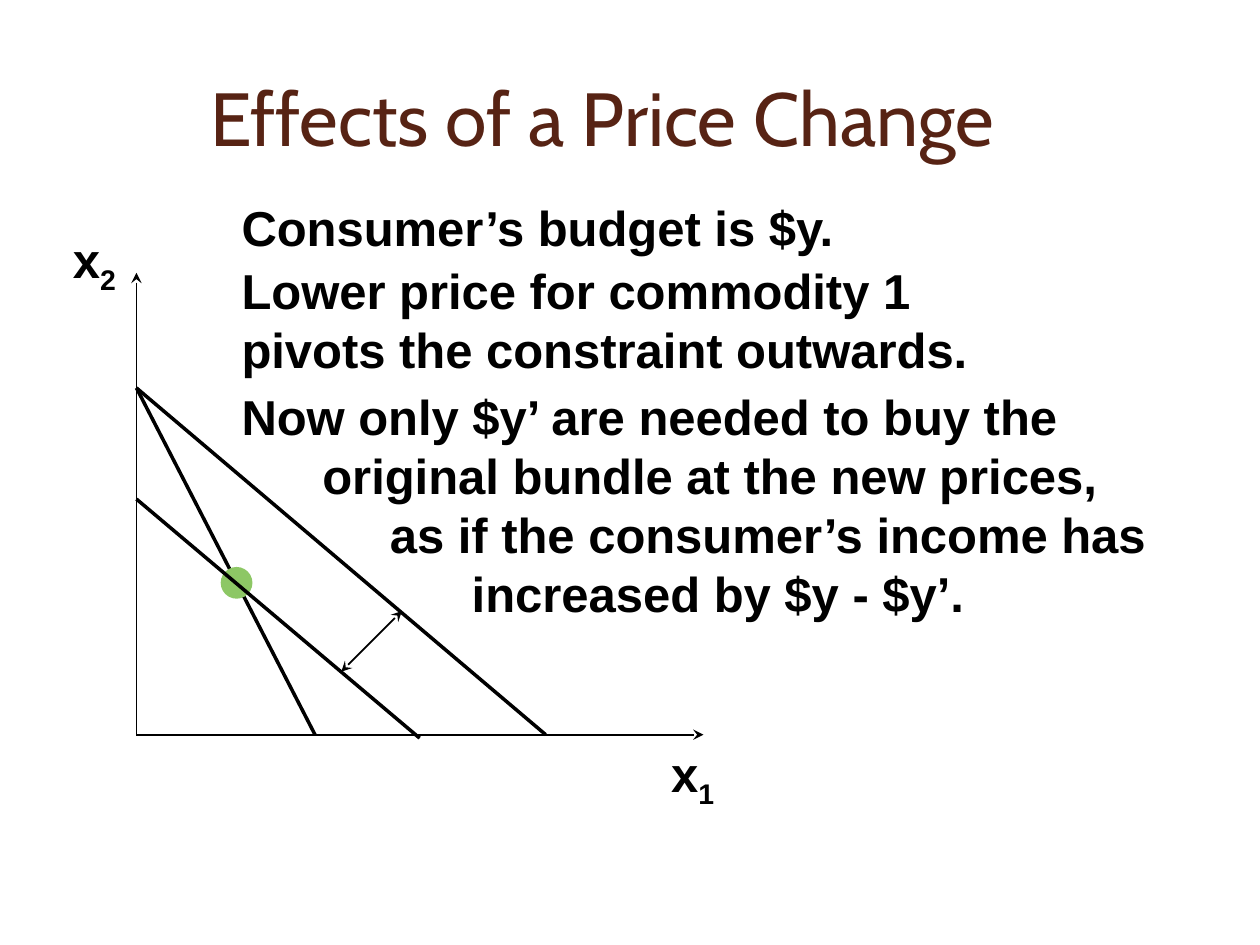
from lxml.etree import SubElement
from pptx import Presentation
from pptx.dml.color import RGBColor
from pptx.enum.shapes import MSO_CONNECTOR, MSO_SHAPE
from pptx.enum.text import MSO_ANCHOR, MSO_AUTO_SIZE
from pptx.oxml.ns import qn
from pptx.util import Cm, Pt

THEME = {
    "title": {"name": "Cabin", "size": Pt(43), "bold": False},
    "body": {"name": "Arial", "size": Pt(28), "bold": True},
    "brown": RGBColor.from_string("572314"),
    "black": RGBColor.from_string("000000"),
    "green": RGBColor.from_string("8DC765"),
}

# Content; all lengths are in centimetres
TITLE = ("Effects of a Price Change", (3.99, 0.76, 20.83, 3.18))
LEFT = 4.62
# Each note: top, width, height, lines as (indent, text)
NOTES = [
    (3.86, 12.52, 1.45, [(0, "Consumer’s budget is $y.")]),
    (5.13, 15.19, 2.62, [(0, "Lower price for commodity 1"),
                         (0, "pivots the constraint outwards.")]),
    (7.67, 18.8, 5, [(0, "Now only $y’ are needed to buy the"),
                     (1.63, "original bundle at the new prices,"),
                     (2.99, "as if the consumer’s income has"),
                     (4.64, "increased by $y - $y’.")]),
]
LABELS = [("x", "1", 13.28, 14.86), ("x", "2", 1.22, 4.5)]

# Graph: start, end, width in points, arrow ends
ZERO = (2.75, 14.81)
PIVOT = (ZERO[0], 7.82)
AXES = [
    ((ZERO[0], 5.5), ZERO, 1, ["headEnd"]),
    (ZERO, (14.18, ZERO[1]), 1, ["tailEnd"]),
]
BUDGETS = [
    (PIVOT, (6.35, ZERO[1]), 2, []),
    (PIVOT, (11, ZERO[1]), 2, []),
]
SHIFT = [
    ((ZERO[0], 10.06), (8.46, 14.88), 2, []),
    ((6.88, 13.54), (8.1, 12.32), 1, ["headEnd", "tailEnd"]),
]
BUNDLE = (4.45, 11.43, 0.64, 0.64)


def cms(vals):
    return [Cm(v) for v in vals]


def style(obj, vals):
    for key, val in vals.items():
        setattr(obj, key, val)


def add_run(para, text, font, tint):
    run = para.add_run()
    run.text = text
    style(run.font, font)
    run.font.color.rgb = tint
    return run


def add_box(slide, area, wrap=False):
    frame = slide.shapes.add_textbox(*cms(area)).text_frame
    fit = MSO_AUTO_SIZE.NONE if wrap else MSO_AUTO_SIZE.SHAPE_TO_FIT_TEXT
    style(frame, {"word_wrap": wrap, "auto_size": fit})
    return frame


def add_line(slide, start, end, width, tips):
    line = slide.shapes.add_connector(MSO_CONNECTOR.STRAIGHT,
                                      *cms(start + end))
    line.line.width = Pt(width)
    line.line.color.rgb = THEME["black"]
    for tip in tips:
        SubElement(line.line._get_or_add_ln(), qn("a:" + tip), type="stealth")
    SubElement(line._element.spPr, qn("a:effectLst"))


def add_note(slide, top, width, height, lines):
    frame = add_box(slide, (LEFT, top, width, height))
    for i, (dent, text) in enumerate(lines):
        para = frame.add_paragraph() if i else frame.paragraphs[0]
        if dent:
            para._p.get_or_add_pPr().set("marL", str(Cm(dent)))
        add_run(para, text, THEME["body"], THEME["black"])


def main():
    deck = Presentation()
    style(deck, {"slide_width": Cm(25.4), "slide_height": Cm(19.05)})
    slide = deck.slides.add_slide(deck.slide_layouts[6])

    # Title
    text, area = TITLE
    frame = add_box(slide, area, wrap=True)
    frame.vertical_anchor = MSO_ANCHOR.MIDDLE
    add_run(frame.paragraphs[0], text, THEME["title"], THEME["brown"])

    # Axes and the first two budget lines
    for line in AXES + BUDGETS:
        add_line(slide, *line)

    # Original bundle, crossed by the shifted budget line
    dot = slide.shapes.add_shape(MSO_SHAPE.OVAL, *cms(BUNDLE))
    dot.shadow.inherit = False
    dot.fill.solid()
    dot.fill.fore_color.rgb = THEME["green"]
    dot.line.fill.background()
    for line in SHIFT:
        add_line(slide, *line)

    # Axis labels with subscripts
    for name, sub, left, top in LABELS:
        para = add_box(slide, (left, top, 1.45, 1.45)).paragraphs[0]
        add_run(para, name, THEME["body"], THEME["black"])
        low = add_run(para, sub, THEME["body"], THEME["black"])
        low._r.get_or_add_rPr().set("baseline", "-25000")

    # Notes
    for note in NOTES:
        add_note(slide, *note)

    deck.save("out.pptx")


if __name__ == "__main__":
    main()
